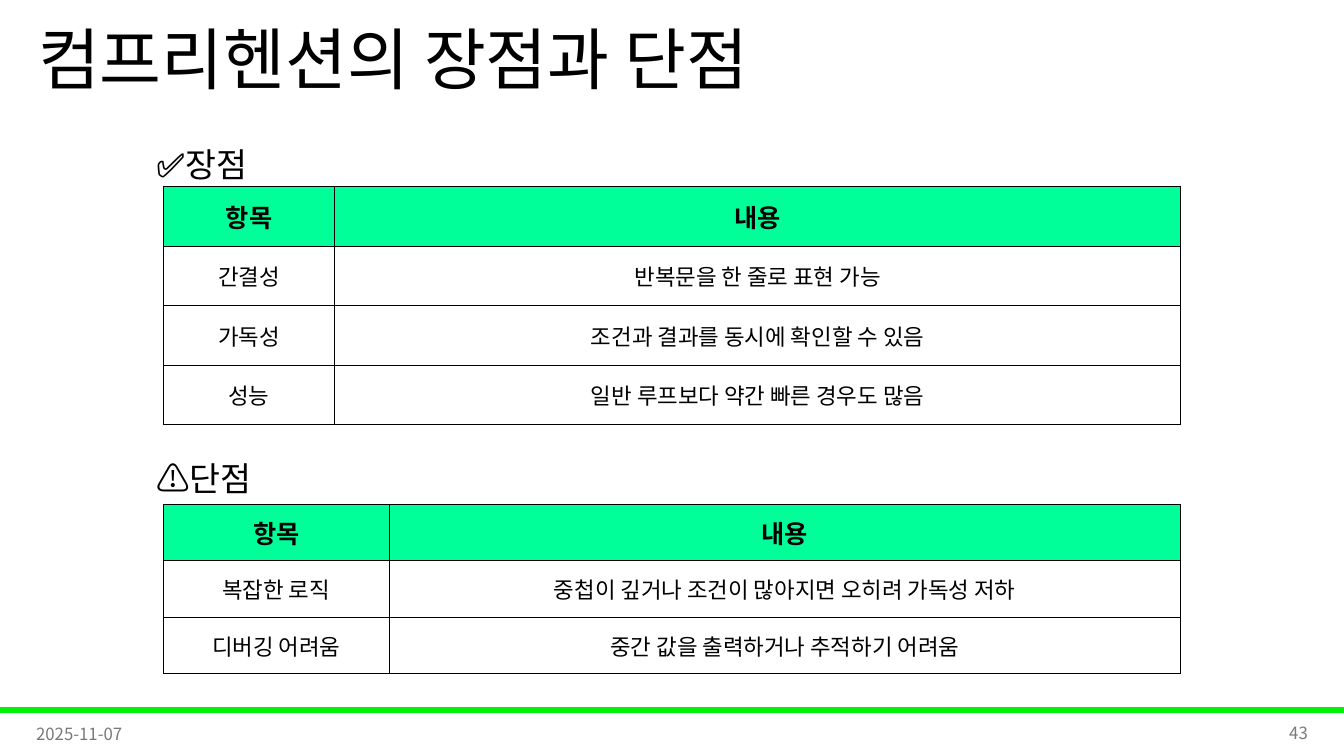
from lxml import etree
from pptx import Presentation
from pptx.dml.color import RGBColor
from pptx.enum.shapes import MSO_SHAPE
from pptx.enum.text import MSO_ANCHOR, PP_ALIGN
from pptx.oxml.ns import qn
from pptx.util import Inches, Pt

LEFT, CENTER, RIGHT = PP_ALIGN.LEFT, PP_ALIGN.CENTER, PP_ALIGN.RIGHT
TOP, MIDDLE = MSO_ANCHOR.TOP, MSO_ANCHOR.MIDDLE
FONT = "Noto Sans CJK KR"
COLORS = {"text": "000000", "muted": "797979", "header": "00FF99", "bar": "00F209"}

TITLE = "컴프리헨션의 장점과 단점"
DATE, PAGE_NUMBER = "2025-11-07", "43"
HEADER = ("항목", "내용")
SECTIONS = [
    {"heading": "✅장점", "heading_top": 1.18, "table_top": 1.85,
     "row_height": 0.59, "first_column": 1.7,
     "rows": [("간결성", "반복문을 한 줄로 표현 가능"),
              ("가독성", "조건과 결과를 동시에 확인할 수 있음"),
              ("성능", "일반 루프보다 약간 빠른 경우도 많음")]},
    {"heading": "⚠️단점", "heading_top": 4.29, "table_top": 5,
     "row_height": 0.56, "first_column": 2.24,
     "rows": [("복잡한 로직", "중첩이 깊거나 조건이 많아지면 오히려 가독성 저하"),
              ("디버깅 어려움", "중간 값을 출력하거나 추적하기 어려움")]},
]
SLIDE_WIDTH, SLIDE_HEIGHT = 13.33, 7.5
TABLE_LEFT, TABLE_WIDTH = 1.62, 10.09
BORDER_WIDTH = Pt(0.5)


def color(name):
    return RGBColor.from_string(COLORS[name])


def write(frame, text, size, align=LEFT, tone="text", bold=False, spacing=1.0):
    para = frame.paragraphs[0]
    para.text = text
    para.alignment = align
    para.line_spacing = spacing
    font = para.font
    font.name, font.size, font.bold = FONT, Pt(size), bold
    font.color.rgb = color(tone)
    # Hangul takes its typeface from the East Asian font entry.
    defaults = para._p.pPr.find(qn("a:defRPr"))
    etree.SubElement(defaults, qn("a:ea"), typeface=FONT)


def add_text(page, place, text, size, anchor=MIDDLE, **style):
    box = page.shapes.add_textbox(*(Inches(length) for length in place))
    frame = box.text_frame
    frame.word_wrap = True
    frame.vertical_anchor = anchor
    write(frame, text, size, **style)


def add_borders(cell):
    properties = cell._tc.get_or_add_tcPr()
    for index, side in enumerate(("lnL", "lnR", "lnT", "lnB")):
        line = etree.Element(qn(f"a:{side}"), w=str(BORDER_WIDTH))
        fill = etree.SubElement(line, qn("a:solidFill"))
        etree.SubElement(fill, qn("a:srgbClr"), val=COLORS["text"])
        properties.insert(index, line)


def add_section(page, section):
    add_text(page, (1.45, section["heading_top"], 8.26, 0.64),
             section["heading"], 24, anchor=TOP, spacing=1.5)
    rows = [HEADER] + section["rows"]
    height = section["row_height"]
    table = page.shapes.add_table(
        len(rows), len(HEADER), Inches(TABLE_LEFT), Inches(section["table_top"]),
        Inches(TABLE_WIDTH), Inches(height * len(rows))).table
    first = section["first_column"]
    for column, width in zip(table.columns, (first, TABLE_WIDTH - first)):
        column.width = Inches(width)
    for r, texts in enumerate(rows):
        table.rows[r].height = Inches(height)
        is_header = r == 0
        for c, text in enumerate(texts):
            cell = table.cell(r, c)
            cell.margin_left = cell.margin_right = cell.margin_top = Inches(0.01)
            cell.margin_bottom = 0
            cell.vertical_anchor = MIDDLE
            write(cell.text_frame, text, 18 if is_header else 16,
                  align=CENTER, bold=is_header)
            if is_header:
                cell.fill.solid()
                cell.fill.fore_color.rgb = color("header")
            else:
                cell.fill.background()
            add_borders(cell)


def main():
    deck = Presentation()
    deck.slide_width, deck.slide_height = Inches(SLIDE_WIDTH), Inches(SLIDE_HEIGHT)
    page = deck.slides.add_slide(deck.slide_layouts[6])

    bar = page.shapes.add_shape(MSO_SHAPE.RECTANGLE, 0, Inches(7.02),
                                Inches(SLIDE_WIDTH), Inches(0.05))
    bar.shadow.inherit = False
    bar.fill.solid()
    bar.fill.fore_color.rgb = bar.line.color.rgb = color("bar")
    bar.line.width = Pt(1)

    add_text(page, (0.28, 0, 11.5, 1.25), TITLE, 48, spacing=0.9)
    add_text(page, (0.26, 7.08, 3, 0.4), DATE, 12, tone="muted")
    add_text(page, (10.07, 7.07, 3, 0.4), PAGE_NUMBER, 12, align=RIGHT, tone="muted")
    for section in SECTIONS:
        add_section(page, section)
    deck.save("out.pptx")


if __name__ == "__main__":
    main()
